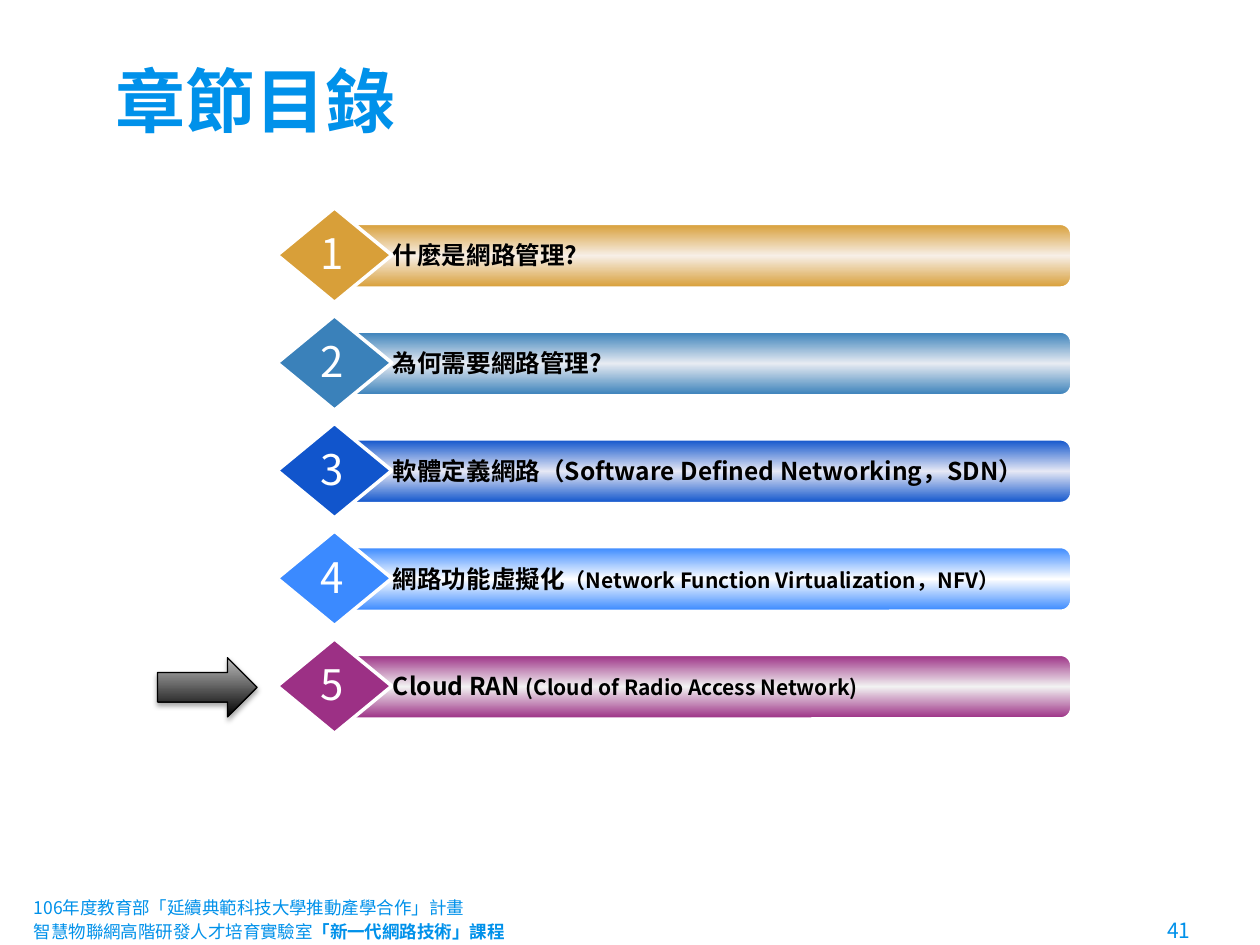
"""Build the chapter contents slide with its current chapter marked by an arrow."""
import pptx
import pptx.dml.color
import pptx.enum.dml
import pptx.enum.shapes
import pptx.enum.text
import pptx.oxml
import pptx.oxml.ns
import pptx.util
from lxml import etree

FONT = "Noto Sans CJK SC"
ACCENT, BLACK, WHITE = "0091EA", "000000", "FFFFFF"
SLIDE_WIDTH, SLIDE_HEIGHT = 10, 7.5
TITLE = "章節目錄"
CHAPTERS = [
    ("D89F39", "F7EFE7", [("什麼是網路管理?", 14)]),
    ("3A81BA", "E7EBF2", [("為何需要網路管理?", 14)]),
    ("1155CC", "E6E8F5", [("軟體定義網路（Software Defined Networking，SDN）", 14)]),
    ("3B8AFF", "FFFFFF", [("網路功能虛擬化", 14),
                          ("（Network Function Virtualization，NFV）", 12)]),
    ("9C3085", "F2F2F2", [("Cloud RAN ", 14), ("(Cloud of Radio Access Network)", 12)]),
]
CURRENT = 5
FOOTER = [
    [("106年度教育部「延續典範科技大學推動產學合作」計畫", 10, False)],
    [("智慧物聯網高階研發人才培育實驗室", 10, False),
     ("「新一代網路技術」課程", 10, True), ("\t41", 12, False)],
]
PAGE_NUMBER_TAB = 9.18
FIRST_ROW, ROW_PITCH = 1.65, 0.855
DIAMOND = (2.2, 0, 0.91, 0.75)
BAR = (2.71, 0.13, 5.79, 0.5)
NUMBER = (2.44, 0.11, 0.4, 0.51)
LABEL = (3.02, 0.21, 5.41, 0.34)
ARROW = (1.25, 0.15, 0.79, 0.47)
SHAPE = pptx.enum.shapes.MSO_SHAPE
ALIGN = pptx.enum.text.PP_ALIGN
ANCHOR = pptx.enum.text.MSO_ANCHOR


def color(value):
    return pptx.dml.color.RGBColor.from_string(value)


def inches(box, top=0):
    left, offset, width, height = box
    return [pptx.util.Inches(value) for value in (left, top + offset, width, height)]


def add_run(paragraph, text, size, ink, bold=False):
    run = paragraph.add_run()
    run.text = text
    run.font.name, run.font.size, run.font.bold = FONT, pptx.util.Pt(size), bold
    run.font.color.rgb = color(ink)
    east_asian = etree.SubElement(run.font._element, pptx.oxml.ns.qn("a:ea"))
    east_asian.set("typeface", FONT)


def add_text(shapes, box, top=0, wrap=True):
    frame = shapes.add_textbox(*inches(box, top)).text_frame
    frame.word_wrap = wrap
    return frame


def add_shape(shapes, kind, box, top, line, line_width):
    shape = shapes.add_shape(kind, *inches(box, top))
    shape.shadow.inherit = False
    shape.line.color.rgb = color(line)
    shape.line.width = pptx.util.Pt(line_width)
    return shape


def fill_gradient(shape, colors, angle):
    shape.fill.gradient()
    shape.fill.gradient_angle = angle
    stops = shape._element.spPr.find(".//" + pptx.oxml.ns.qn("a:gsLst"))
    for stop in list(stops):
        stops.remove(stop)
    for index, value in enumerate(colors):
        position = 100000 * index // (len(colors) - 1)
        stop = etree.SubElement(stops, pptx.oxml.ns.qn("a:gs"), pos=str(position))
        etree.SubElement(stop, pptx.oxml.ns.qn("a:srgbClr"), val=value)


def add_shadow(shape):
    effects = shape._element.spPr.find(pptx.oxml.ns.qn("a:effectLst"))
    effects.append(pptx.oxml.parse_xml(
        f'<a:outerShdw {pptx.oxml.ns.nsdecls("a")} blurRad="39370" dist="22860" '
        'dir="5400000" rotWithShape="0"><a:srgbClr val="000000">'
        '<a:alpha val="35000"/></a:srgbClr></a:outerShdw>'))


def add_title(slide):
    title = slide.shapes.title
    title.left, title.top, title.width, title.height = inches((0.82, 0.2, 8.28, 1.02))
    frame = title.text_frame
    frame.vertical_anchor = ANCHOR.BOTTOM
    frame.margin_top = frame.margin_bottom = pptx.util.Inches(0.1)
    frame.paragraphs[0].alignment = ALIGN.LEFT
    add_run(frame.paragraphs[0], TITLE, 40, ACCENT, True)


def add_chapter(slide, number, shade, glow, label):
    top = FIRST_ROW + (number - 1) * ROW_PITCH
    shapes = slide.shapes.add_group_shape().shapes
    bar = add_shape(shapes, SHAPE.ROUNDED_RECTANGLE, BAR, top, WHITE, 1)
    bar.adjustments[0] = 0.167
    fill_gradient(bar, [shade, glow, shade], 270)
    diamond = add_shape(shapes, SHAPE.DIAMOND, DIAMOND, top, WHITE, 2)
    diamond.fill.solid()
    diamond.fill.fore_color.rgb = color(shade)
    paragraph = add_text(shapes, NUMBER, top, wrap=False).paragraphs[0]
    paragraph.alignment = ALIGN.CENTER
    add_run(paragraph, str(number), 24, WHITE)
    paragraph = add_text(shapes, LABEL, top).paragraphs[0]
    paragraph.alignment = ALIGN.JUSTIFY
    for text, size in label:
        add_run(paragraph, text, size, BLACK, True)


def add_current_arrow(slide):
    top = FIRST_ROW + (CURRENT - 1) * ROW_PITCH
    arrow = add_shape(slide.shapes, SHAPE.RIGHT_ARROW, ARROW, top, BLACK, 0.75)
    fill_gradient(arrow, [BLACK, "BDBDBD"], 90)
    add_shadow(arrow)


def add_footer(slide):
    frame = add_text(slide.shapes, (0.17, 7.1, 9.66, 0.4))
    frame.vertical_anchor = ANCHOR.MIDDLE
    for index, runs in enumerate(FOOTER):
        paragraph = frame.add_paragraph() if index else frame.paragraphs[0]
        properties = paragraph._p.get_or_add_pPr()
        tabs = etree.SubElement(properties, pptx.oxml.ns.qn("a:tabLst"))
        etree.SubElement(tabs, pptx.oxml.ns.qn("a:tab"), algn="r",
                         pos=str(pptx.util.Inches(PAGE_NUMBER_TAB)))
        for text, size, bold in runs:
            add_run(paragraph, text, size, ACCENT, bold)


def main():
    presentation = pptx.Presentation()
    presentation.slide_width = pptx.util.Inches(SLIDE_WIDTH)
    presentation.slide_height = pptx.util.Inches(SLIDE_HEIGHT)
    slide = presentation.slides.add_slide(presentation.slide_layouts[5])
    add_footer(slide)
    add_title(slide)
    for number, chapter in enumerate(CHAPTERS, 1):
        add_chapter(slide, number, *chapter)
    add_current_arrow(slide)
    presentation.save("out.pptx")


if __name__ == "__main__":
    main()
